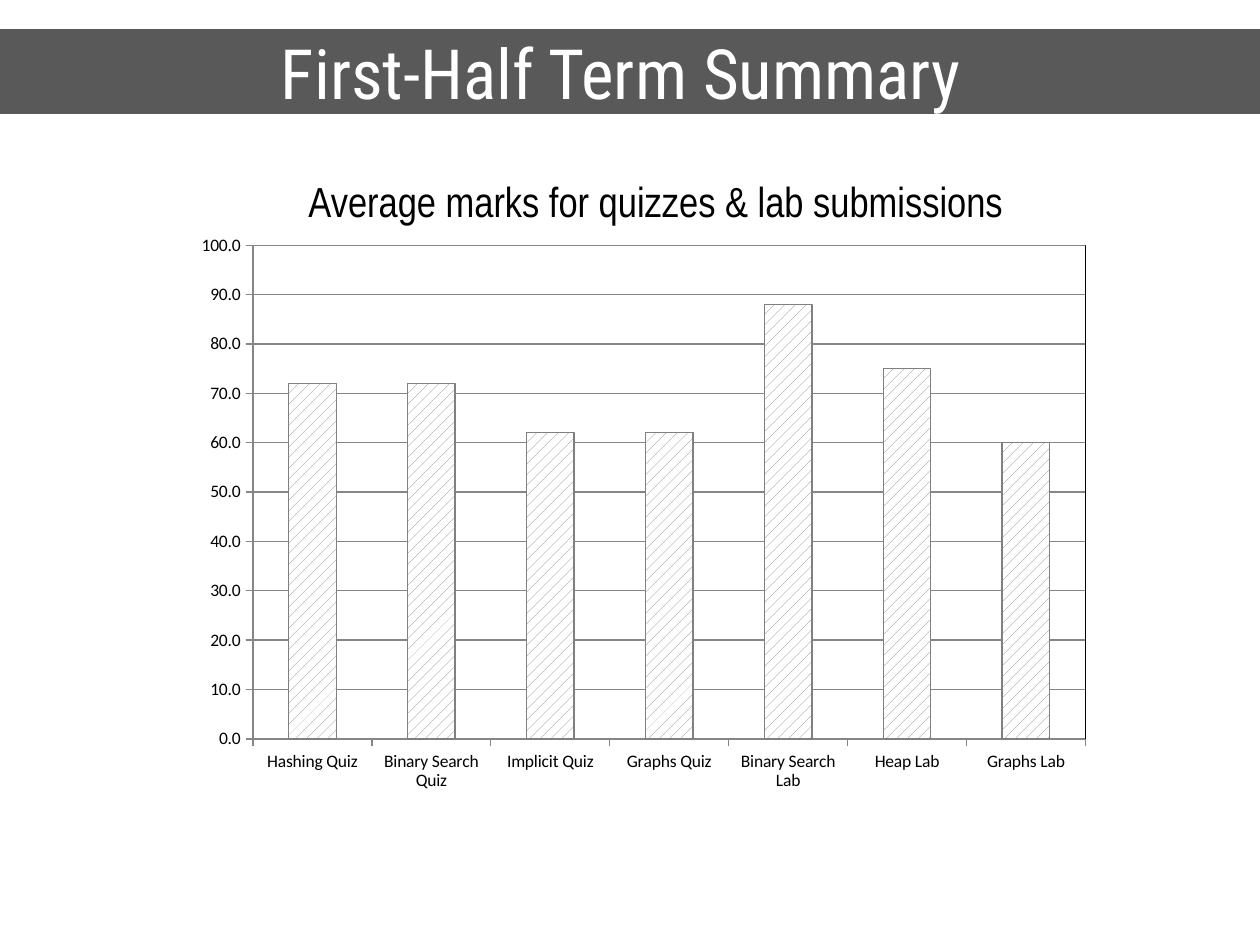
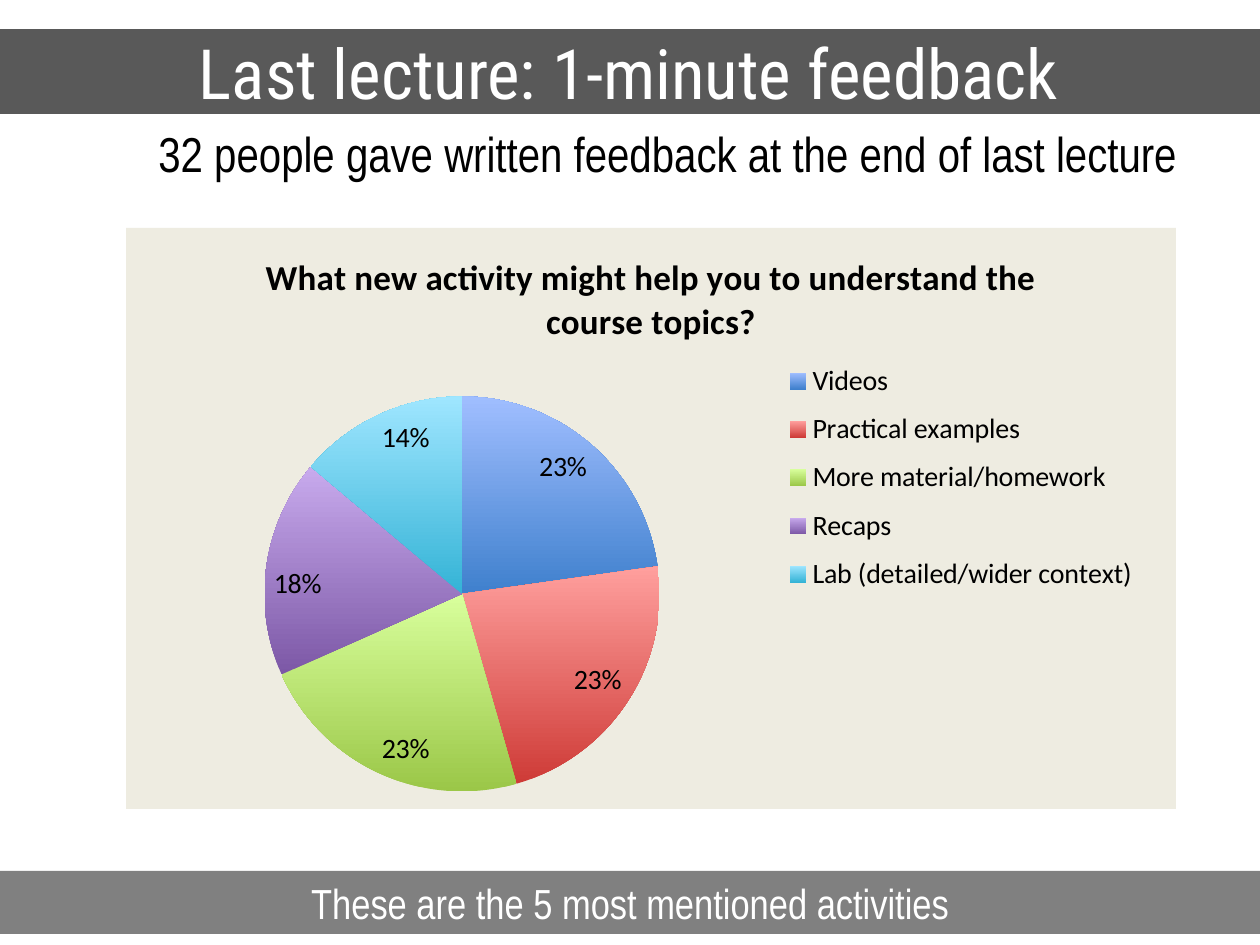
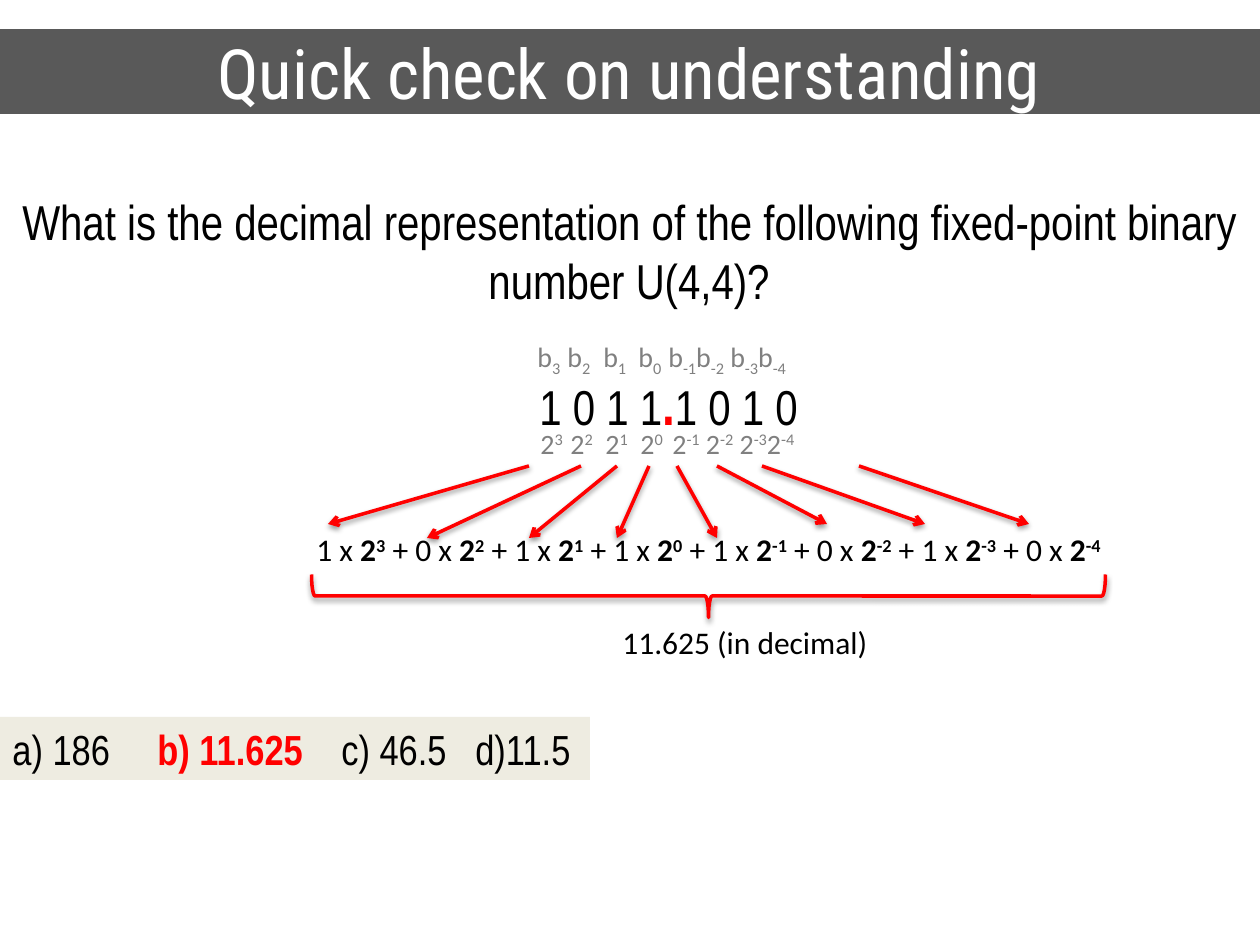
import pptx
import pptx.chart.data
import pptx.dml.color
import pptx.enum.chart
import pptx.enum.dml
import pptx.enum.shapes
import pptx.enum.text
import pptx.oxml
import pptx.oxml.ns
import pptx.util

WIDE, HIGH = 1260, 945
COLORS = {
    "band": "595959", "gray": "808080", "cream": "EEECE1", "grid": "868686",
    "black": "000000", "white": "FFFFFF", "red": "FF0000",
}
# Dark and light end of each pie slice
SLICES = [("3F80CD", "A0BEFF"), ("CE3B37", "FF9F9D"), ("9BC748", "D8FF9C"),
          ("7C58A6", "C8AAED"), ("34B3D6", "9FE6FF")]
HEAD, BODY, PLAIN = "Roboto Condensed", "Arial Narrow", "Calibri"
SPACE = pptx.oxml.ns.nsdecls("a", "c")
POWERS = range(3, -5, -1)
BITS = "10111010"

Pt = pptx.util.Pt
RECT = pptx.enum.shapes.MSO_SHAPE.RECTANGLE
ALIGN = {"left": pptx.enum.text.PP_ALIGN.LEFT, "center": pptx.enum.text.PP_ALIGN.CENTER}
ANCHOR = {"top": pptx.enum.text.MSO_ANCHOR.TOP, "middle": pptx.enum.text.MSO_ANCHOR.MIDDLE}


def px(num):
    return pptx.util.Emu(round(num * 914400 / 126))


def rgb(name):
    return pptx.dml.color.RGBColor.from_string(COLORS.get(name, name))


def xml(text):
    return pptx.oxml.parse_xml(text)


def style(font, face, size, color="black", bold=False):
    font.name, font.size, font.bold = face, Pt(size), bold
    font.color.rgb = rgb(color)


def put(slide, box, text, face=BODY, size=28, color="black", fill=None,
        align="left", anchor="top", wrap=False, tabs=()):
    """Place text, given as a string or as (text, format) runs."""
    place = [px(n) for n in box]
    if fill:
        shape = slide.shapes.add_shape(RECT, *place)
        shape.shadow.inherit = False
        shape.fill.solid()
        shape.fill.fore_color.rgb = rgb(fill)
        shape.line.fill.background()
    else:
        shape = slide.shapes.add_textbox(*place)
    frame = shape.text_frame
    frame.word_wrap = wrap
    frame.vertical_anchor = ANCHOR[anchor]
    para = frame.paragraphs[0]
    para.alignment = ALIGN[align]
    if tabs:
        stops = "".join(f'<a:tab pos="{px(n)}" algn="l"/>' for n in tabs)
        para._p.get_or_add_pPr().append(xml(f"<a:tabLst {SPACE}>{stops}</a:tabLst>"))
    for words, form in [(text, {})] if isinstance(text, str) else text:
        run = para.add_run()
        run.text = words
        style(run.font, face, form.get("size", size), form.get("color", color),
              form.get("bold", False))
        if "base" in form:
            run._r.get_or_add_rPr().set("baseline", str(form["base"] * 1000))
    return shape


def start(deck, title):
    """Add a blank slide with the title band."""
    slide = deck.slides.add_slide(deck.slide_layouts[6])
    put(slide, (-2, 29, WIDE + 2, 85), title, face=HEAD, size=39.6, color="white",
        fill="band", align="center", anchor="middle", wrap=True)
    return slide


def layout(x, y, w, h, inner=True):
    """Manual layout as shares of the chart's box."""
    parts = '<c:layoutTarget val="inner"/>' if inner else ""
    parts += '<c:xMode val="edge"/><c:yMode val="edge"/>'
    for key, num in zip("xywh", (x, y, w, h)):
        parts += f'<c:{key} val="{num}"/>'
    return xml(f"<c:layout {SPACE}><c:manualLayout>{parts}</c:manualLayout></c:layout>")


def graph(slide, box, kind, cats, vals, area):
    data = pptx.chart.data.CategoryChartData()
    data.categories = cats
    data.add_series("Series 1", vals)
    kind = getattr(pptx.enum.chart.XL_CHART_TYPE, kind)
    chart = slide.shapes.add_chart(kind, *[px(n) for n in box], data).chart
    style(chart.font, PLAIN, 10)
    chart.has_legend = chart.has_title = False
    plot = chart._chartSpace.chart.plotArea
    for old in plot.findall(pptx.oxml.ns.qn("c:layout")):
        plot.remove(old)
    plot.insert(0, layout(*area))
    return chart


def stroke(line, color="grid", width=0.75):
    line.color.rgb = rgb(color)
    line.width = Pt(width)


def bars(slide, box):
    cats = ["Hashing Quiz", "Binary Search Quiz", "Implicit Quiz", "Graphs Quiz",
            "Binary Search Lab", "Heap Lab", "Graphs Lab"]
    chart = graph(slide, box, "COLUMN_CLUSTERED", cats, (72, 72, 62, 62, 88, 75, 60),
                  (0.08, 0.04, 0.9, 0.85))
    # Axes and gridlines
    scale = chart.value_axis
    scale.minimum_scale, scale.maximum_scale, scale.major_unit = 0, 100, 10
    scale.has_major_gridlines = True
    scale.tick_labels.number_format = "0.0"
    scale.tick_labels.number_format_is_linked = False
    stroke(scale.major_gridlines.format.line)
    for axis in (scale, chart.category_axis):
        axis.major_tick_mark = pptx.enum.chart.XL_TICK_MARK.OUTSIDE
        stroke(axis.format.line)
    # Frame around the plot
    chart._chartSpace.chart.plotArea.append(xml(
        f'<c:spPr {SPACE}><a:noFill/><a:ln w="9525"><a:solidFill>'
        f'<a:srgbClr val="{COLORS["black"]}"/></a:solidFill></a:ln></c:spPr>'))
    # Hatched columns
    plot = chart.plots[0]
    plot.gap_width, plot.vary_by_categories = 150, False
    form = plot.series[0].format
    form.fill.patterned()
    form.fill.pattern = pptx.enum.dml.MSO_PATTERN.PERCENT_20
    form.fill.fore_color.rgb = rgb("gray")
    form.fill.back_color.rgb = rgb("white")
    stroke(form.line, "gray")


def pie(slide, box):
    cats = ["Videos", "Practical examples", "More material/homework", "Recaps",
            "Lab (detailed/wider context)"]
    chart = graph(slide, box, "PIE", cats, (23, 23, 23, 18, 14),
                  (0.13, 0.29, 0.38, 0.68))
    # Background
    chart._chartSpace.chart.addnext(xml(
        f'<c:spPr {SPACE}><a:solidFill><a:srgbClr val="{COLORS["cream"]}"/>'
        f'</a:solidFill><a:ln><a:noFill/></a:ln></c:spPr>'))
    # Title
    chart.has_title = True
    frame = chart.chart_title.text_frame
    frame.text = "What new activity might help you to understand the course topics?"
    style(frame.paragraphs[0].runs[0].font, PLAIN, 20, bold=True)
    # Legend
    chart.has_legend = True
    legend = chart.legend
    legend.position = pptx.enum.chart.XL_LEGEND_POSITION.RIGHT
    legend.include_in_layout = False
    style(legend.font, PLAIN, 16)
    node = legend._element
    for old in node.findall(pptx.oxml.ns.qn("c:layout")):
        node.remove(old)
    node.find(pptx.oxml.ns.qn("c:legendPos")).addnext(
        layout(0.62, 0.21, 0.35, 0.44, inner=False))
    # Slices and labels
    plot = chart.plots[0]
    plot.vary_by_categories = True
    for i, ends in enumerate(SLICES):
        form = plot.series[0].points[i].format
        form.fill.gradient()
        form.fill.gradient_angle = 90
        for stop, color in zip(form.fill.gradient_stops, ends):
            stop.color.rgb = rgb(color)
        form.line.fill.background()
    plot.has_data_labels = True
    labels = plot.data_labels
    labels.show_percentage, labels.show_value = True, False
    labels.number_format, labels.number_format_is_linked = "0%", False
    labels.position = pptx.enum.chart.XL_LABEL_POSITION.INSIDE_END
    style(labels.font, PLAIN, 16)


def shade(shape):
    """Red outline with a soft shadow below."""
    stroke(shape.line, "red", 2)
    props = shape._element.spPr
    for old in props.findall(pptx.oxml.ns.qn("a:effectLst")):
        props.remove(old)
    props.append(xml(
        f'<a:effectLst {SPACE}><a:outerShdw blurRad="39370" dist="20320" dir="5400000" '
        f'rotWithShape="0"><a:srgbClr val="{COLORS["black"]}"><a:alpha val="38000"/>'
        f'</a:srgbClr></a:outerShdw></a:effectLst>'))


def indexed(letter, base, gaps):
    """Runs of one letter with every power raised or lowered."""
    runs = []
    for gap, power in zip(gaps, POWERS):
        runs += [(gap + letter, {}), (str(power), {"base": base})]
    return runs


def digits(slide, x, y):
    """The binary number between its indices and its weights."""
    look = dict(face=PLAIN, size=16, color="gray", wrap=True)
    put(slide, (x + 2, y + 30, 286, 81),
        [(" ".join(BITS[:4]), {}), (".", {"size": 32, "color": "red", "bold": True}),
         (" ".join(BITS[4:]), {})])
    put(slide, (x, y, 302, 47),
        indexed("b", -25, ["", "\t", "\t", "\t", "\t", "", " ", ""]),
        tabs=(30, 66, 101, 131), **look)
    put(slide, (x + 3, y + 87, 297, 47),
        indexed("2", 30, ["", "\t", "\t", "\t", "\t", " ", " ", ""]),
        tabs=(30, 65, 100, 132), **look)


def total(slide, x, y):
    """Arrows to the weighted sum, the brace and the result."""
    runs = []
    for bit, power in zip(BITS, POWERS):
        runs += [(f"{' + ' if runs else ''}{bit} x ", {}), ("2", {"bold": True}),
                 (str(power), {"bold": True, "base": 30})]
    put(slide, (x, y + 58, 832, 50), runs, face=PLAIN, size=18)
    ends = [(225, 24, 58), (277, 123, 72), (313, 225, 72), (345, 313, 72),
            (373, 413, 72), (413, 523, 58), (458, 621, 58), (555, 725, 58)]
    for left, right, drop in ends:
        arrow = slide.shapes.add_connector(
            pptx.enum.shapes.MSO_CONNECTOR.STRAIGHT,
            px(x + left), px(y), px(x + right), px(y + drop))
        shade(arrow)
        arrow.line._get_or_add_ln().append(xml(f'<a:tailEnd {SPACE} type="arrow"/>'))
    brace = slide.shapes.add_shape(
        pptx.enum.shapes.MSO_SHAPE.RIGHT_BRACE,
        px(x + 383), px(y - 267), px(43), px(794))
    brace.rotation = 90
    brace.fill.background()
    shade(brace)
    put(slide, (x + 306, y + 151, 273, 50), "11.625 (in decimal)", face=PLAIN, size=18)


def summary(deck):
    slide = start(deck, "First-Half Term Summary ")
    bars(slide, (179, 222, 925, 581))
    put(slide, (296, 169, 727, 63), "Average marks for quizzes & lab submissions", size=24)


def feedback(deck):
    slide = start(deck, "Last lecture: 1-minute feedback")
    put(slide, (146, 117, 1055, 72),
        "32 people gave written feedback at the end of last lecture")
    put(slide, (0, 871, WIDE, 63), "These are the 5 most mentioned activities",
        size=24, color="white", fill="gray", align="center", wrap=True)
    pie(slide, (126, 228, 1050, 581))


def check(deck):
    slide = start(deck, "Quick check on understanding")
    put(slide, (-2, 185, WIDE + 2, 131),
        "What is the decimal representation of the following fixed-point binary "
        "number U(4,4)?", align="center", wrap=True)
    digits(slide, 525, 333)
    total(slide, 304, 466)
    # Answers
    put(slide, (0, 717, 590, 63),
        [("a) 186\t", {}), ("b) 11.625\t", {"color": "red", "bold": True}),
         ("c) 46.5\td)11.5", {})],
        size=24, fill="cream", wrap=True, tabs=(145, 329, 463))


def main():
    deck = pptx.Presentation()
    deck.slide_width, deck.slide_height = px(WIDE), px(HIGH)
    for build in (summary, feedback, check):
        build(deck)
    deck.save("out.pptx")


if __name__ == "__main__":
    main()
